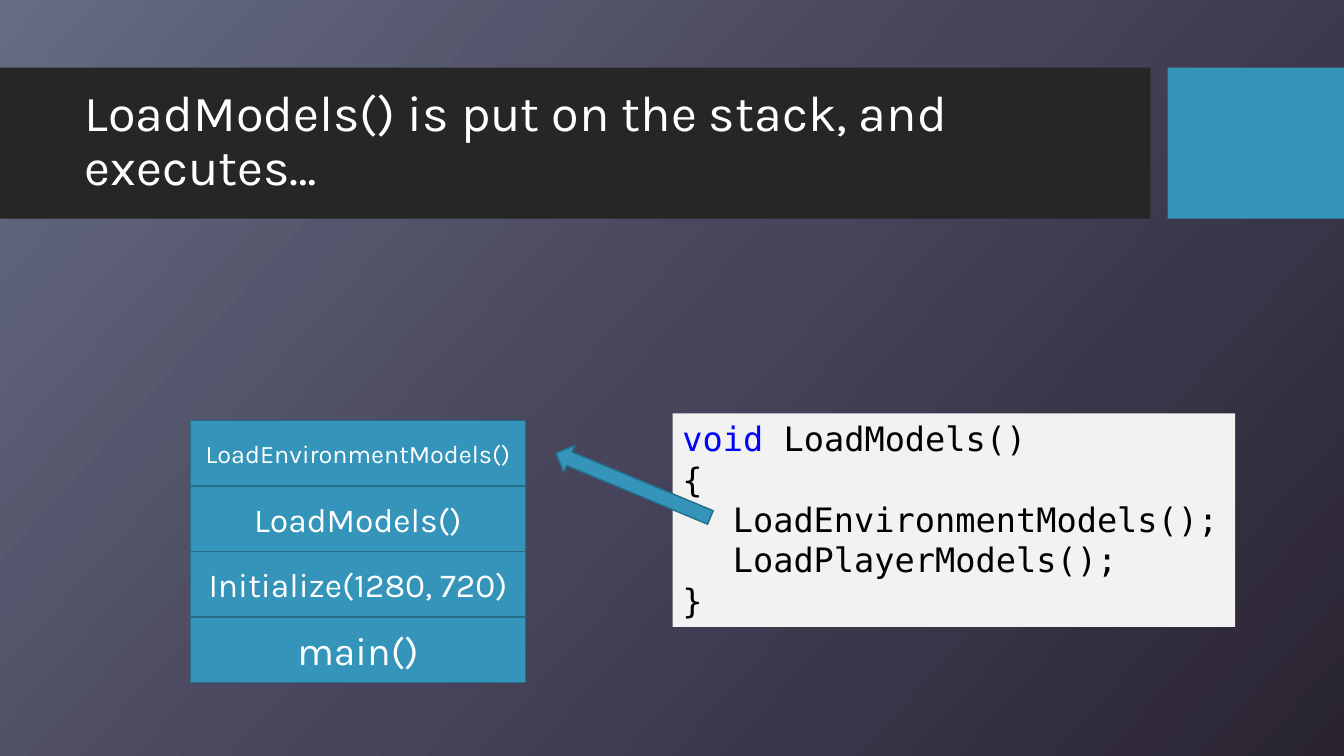
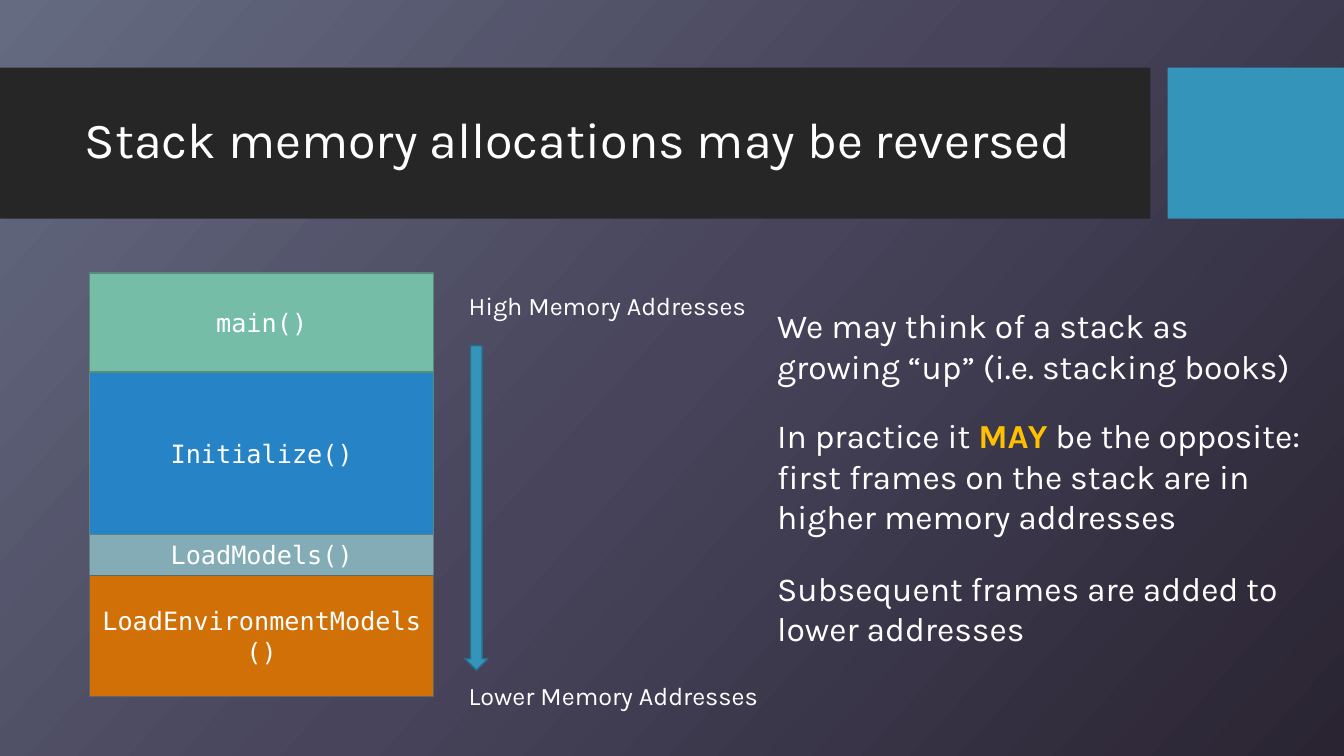
"""Build two slides on how function calls are placed on the stack."""
from copy import deepcopy

from pptx import Presentation
from pptx import util as u
from pptx.dml.color import RGBColor
from pptx.enum import shapes, text
from pptx.oxml.ns import qn

PX = u.Inches(1) // 100
SANS = "Karla"
MONO = "DejaVu Sans Mono"

WHITE = RGBColor(0xFF, 0xFF, 0xFF)
BLACK = RGBColor(0x00, 0x00, 0x00)
BAND = RGBColor(0x26, 0x26, 0x26)
ACCENT = RGBColor(0x34, 0x94, 0xBA)
ACCENT_EDGE = RGBColor(0x26, 0x6D, 0x8A)
CODE_BACK = RGBColor(0xF2, 0xF2, 0xF2)
KEYWORD = RGBColor(0x00, 0x00, 0xFF)
EMPHASIS = RGBColor(0xFF, 0xC0, 0x00)
GREEN = RGBColor(0x75, 0xBD, 0xA7)
GREEN_EDGE = RGBColor(0x57, 0x8C, 0x7C)
BLUE = RGBColor(0x26, 0x83, 0xC6)
GREY = RGBColor(0x84, 0xAC, 0xB6)
GREY_EDGE = RGBColor(0x62, 0x7F, 0x87)
ORANGE = RGBColor(0xD0, 0x70, 0x06)
ORANGE_EDGE = RGBColor(0x5A, 0x68, 0x69)
BACKDROP = (
    (0, RGBColor(0x65, 0x6B, 0x81)),
    (0.5, RGBColor(0x47, 0x44, 0x5B)),
    (1, RGBColor(0x2A, 0x24, 0x32)),
)

RECTANGLE = shapes.MSO_SHAPE.RECTANGLE
LEFT = text.PP_ALIGN.LEFT
CENTER = text.PP_ALIGN.CENTER
MIDDLE = text.MSO_ANCHOR.MIDDLE
TOP = text.MSO_ANCHOR.TOP


def emu(*lengths):
    return [length * PX for length in lengths]


def set_backdrop(master):
    fill = master.background.fill
    fill.gradient()
    fill.gradient_angle = 360 - 42
    stop_list = master.element.find(".//" + qn("a:gsLst"))
    stop_list.insert(1, deepcopy(stop_list[0]))
    for stop, (position, color) in zip(fill.gradient_stops, BACKDROP):
        stop.position = position
        stop.color.rgb = color


def style_runs(paragraph, size, font, color, align=LEFT):
    paragraph.alignment = align
    for run in paragraph.runs:
        run.font.size = u.Pt(size)
        run.font.name = font
        run.font.color.rgb = color


def write(shape, content, size, font=SANS, color=WHITE, align=LEFT, anchor=TOP):
    frame = shape.text_frame
    frame.word_wrap = True
    frame.auto_size = text.MSO_AUTO_SIZE.NONE
    frame.vertical_anchor = anchor
    frame.text = content
    for paragraph in frame.paragraphs:
        style_runs(paragraph, size, font, color, align)


def accent_word(paragraph, word, color, bold=False):
    """Split the only run of a paragraph so that one word stands out."""
    first = paragraph.runs[0]
    size, font, base = first.font.size.pt, first.font.name, first.font.color.rgb
    before, after = first.text.split(word, 1)
    paragraph.text = ""
    for part in filter(None, (before, word, after)):
        paragraph.add_run().text = part
    style_runs(paragraph, size, font, base)
    for run in paragraph.runs:
        if run.text == word:
            run.font.color.rgb = color
            run.font.bold = bold


def add_block(slide, box, fill, edge=None, kind=RECTANGLE):
    shape = slide.shapes.add_shape(kind, *emu(*box))
    shape.shadow.inherit = False
    shape.fill.solid()
    shape.fill.fore_color.rgb = fill
    if edge is None:
        shape.line.fill.background()
    else:
        shape.line.color.rgb = edge
        shape.line.width = u.Pt(1)
    return shape


def add_text(slide, box, content, size):
    shape = slide.shapes.add_textbox(*emu(*box))
    write(shape, content, size)
    return shape


def add_stack(slide, left, top, width, frames, font):
    """Pile up frames given as (label, height, size, fill, edge)."""
    for label, height, size, fill, edge in frames:
        block = add_block(slide, (left, top, width, height), fill, edge)
        write(block, label, size, font, align=CENTER, anchor=MIDDLE)
        top += height


def add_code(slide, box, lines, keyword):
    shape = add_block(slide, box, CODE_BACK)
    write(shape, "\n".join(line.strip() for line in lines), 24, MONO, BLACK)
    for line, paragraph in zip(lines, shape.text_frame.paragraphs):
        if line.startswith(" "):
            properties = paragraph._p.get_or_add_pPr()
            properties.set("marL", str(50 * PX))
            properties.set("indent", "0")
    accent_word(shape.text_frame.paragraphs[0], keyword, KEYWORD)


def add_titled_slide(presentation, heading):
    slide = presentation.slides.add_slide(presentation.slide_layouts[5])
    title = slide.shapes.title
    title.left, title.top, title.width, title.height = emu(74, 82, 1051, 118)
    write(title, heading, 36, anchor=MIDDLE)
    title.text_frame.paragraphs[0].line_spacing = 0.9
    for left, width, fill in ((0, 1141, BAND), (1158, 175, ACCENT)):
        band = add_block(slide, (left, 67, width, 150), fill)
        title.element.addprevious(band.element)
    return slide


def build_call_slide(presentation):
    slide = add_titled_slide(
        presentation, "LoadModels() is put on the stack, and executes…")
    code = (
        "void LoadModels()",
        "{",
        "    LoadEnvironmentModels();",
        "    LoadPlayerModels();",
        "}",
    )
    add_code(slide, (667, 410, 558, 212), code, "void")
    calls = (
        ("LoadEnvironmentModels()", 18),
        ("LoadModels()", 24),
        ("Initialize(1280, 720)", 24),
        ("main()", 28),
    )
    frames = [(label, 65, size, ACCENT, ACCENT_EDGE) for label, size in calls]
    add_stack(slide, 189, 417, 332, frames, SANS)
    arrow = add_block(slide, (545, 467, 166, 29), ACCENT, ACCENT_EDGE,
                      shapes.MSO_SHAPE.LEFT_ARROW)
    arrow.rotation = 22.6


def build_memory_slide(presentation):
    slide = add_titled_slide(
        presentation, "Stack memory allocations may be reversed")
    frames = (
        ("main()", 98, 18, GREEN, GREEN_EDGE),
        ("Initialize()", 161, 18, BLUE, GREEN_EDGE),
        ("LoadModels()", 41, 18, GREY, GREY_EDGE),
        ("LoadEnvironmentModels()", 120, 18, ORANGE, ORANGE_EDGE),
    )
    add_stack(slide, 89, 271, 341, frames, MONO)
    add_text(slide, (455, 283, 318, 40), "High Memory Addresses", 18)
    add_block(slide, (461, 343, 23, 322), ACCENT, ACCENT_EDGE,
              shapes.MSO_SHAPE.DOWN_ARROW)
    add_text(slide, (455, 670, 318, 40), "Lower Memory Addresses", 18)
    notes = (
        (298, 91, "We may think of a stack as growing “up” (i.e. stacking books)"),
        (407, 131, "In practice it MAY be the opposite: first frames on the "
                   "stack are in higher memory addresses"),
        (558, 91, "Subsequent frames are added to lower addresses"),
    )
    for top, height, content in notes:
        note = add_text(slide, (761, top, 547, height), content, 24)
        if "MAY" in content:
            accent_word(note.text_frame.paragraphs[0], "MAY", EMPHASIS, bold=True)


def main():
    presentation = Presentation()
    presentation.slide_width, presentation.slide_height = emu(1333, 750)
    set_backdrop(presentation.slide_master)
    build_call_slide(presentation)
    build_memory_slide(presentation)
    presentation.save("out.pptx")


if __name__ == "__main__":
    main()
